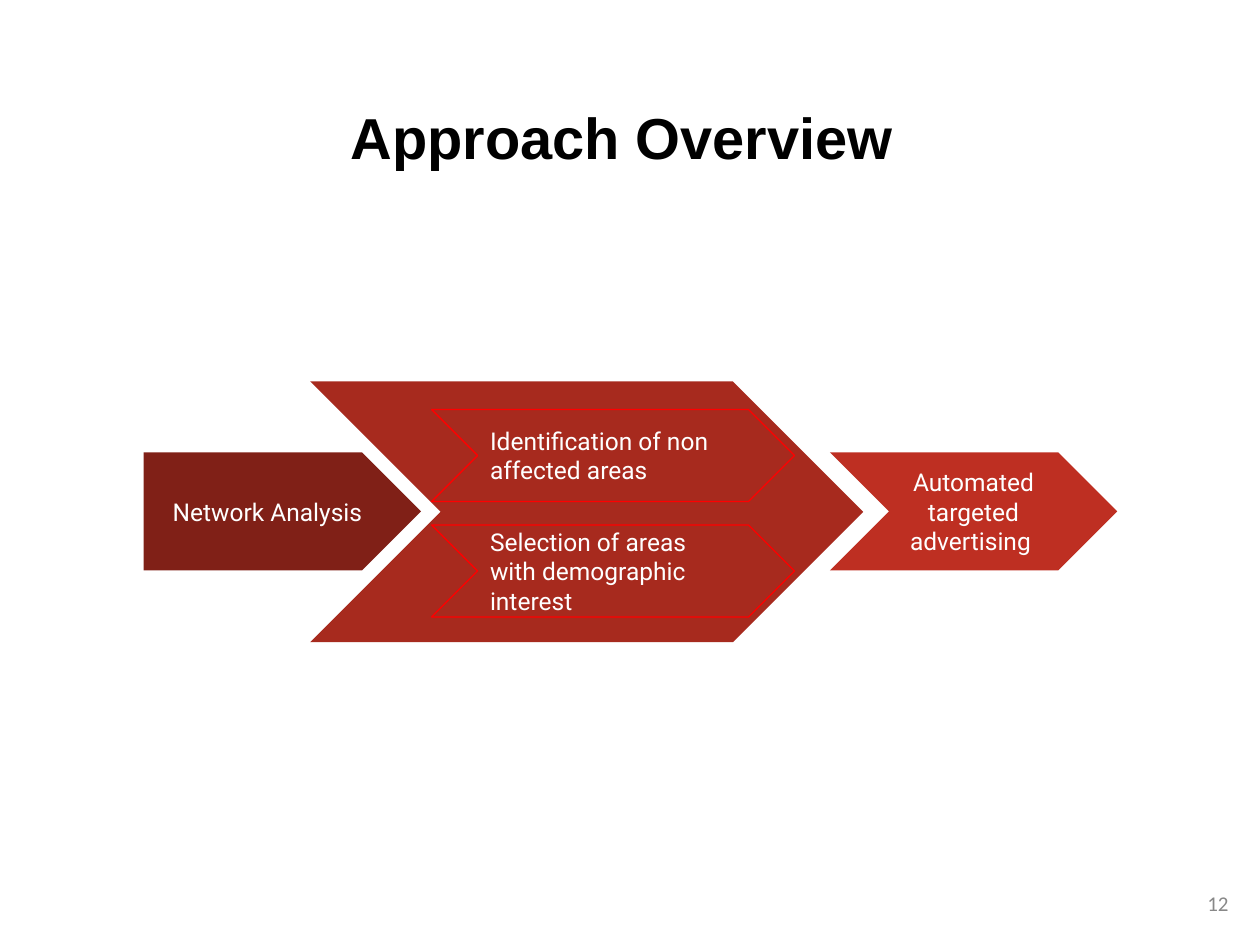
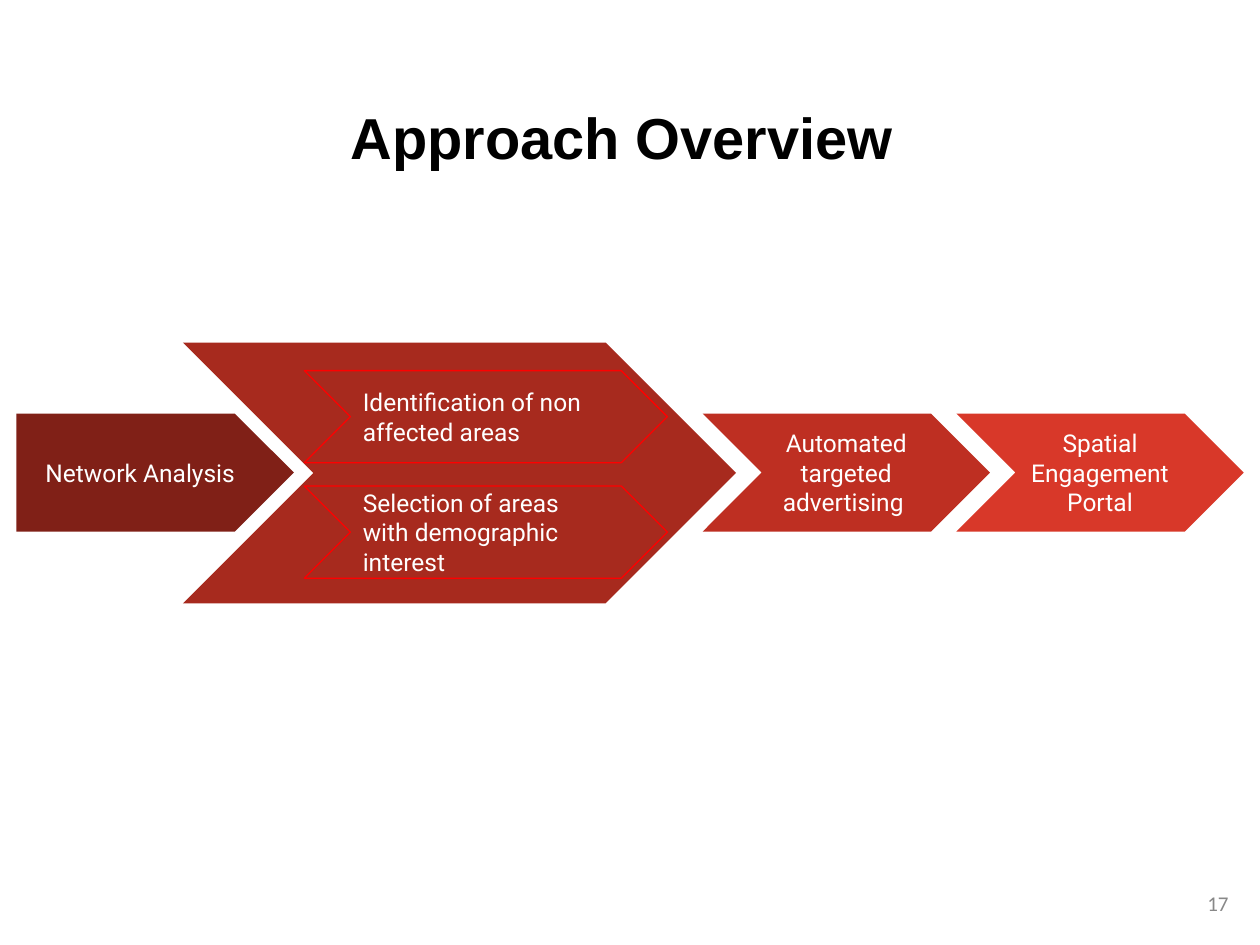
import pptx
import pptx.util
import pptx.dml.color
import pptx.enum.shapes
import pptx.enum.text

Pt = pptx.util.Pt
RGB = pptx.dml.color.RGBColor
MSO = pptx.enum.shapes.MSO_SHAPE
ALIGN = pptx.enum.text.PP_ALIGN
ANCHOR = pptx.enum.text.MSO_ANCHOR
AUTO = pptx.enum.text.MSO_AUTO_SIZE

BLACK = RGB(0x00, 0x00, 0x00)
WHITE = RGB(0xFF, 0xFF, 0xFF)
GREY = RGB(0x88, 0x88, 0x88)
OUTLINE = RGB(0xFF, 0x00, 0x00)
MAROON = RGB(0x80, 0x20, 0x17)
BRICK = RGB(0xA7, 0x2A, 0x1E)
RED = RGB(0xBE, 0x2F, 0x22)
BRIGHT = RGB(0xD8, 0x38, 0x29)


def set_text(sp, text, font, size, color, align, anchor, pad=7.2, bold=False):
    tf = sp.text_frame
    tf.word_wrap = True
    tf.auto_size = AUTO.NONE
    tf.vertical_anchor = anchor
    tf.margin_left = tf.margin_right = Pt(7.2)
    tf.margin_top = tf.margin_bottom = Pt(pad)
    tf.text = text
    p = tf.paragraphs[0]
    p.alignment = align
    p.font.name, p.font.size, p.font.bold = font, Pt(size), bold
    p.font.color.rgb = color


def add_step(s, kind, x, y, w, h, fill, text="", align=ALIGN.CENTER, line=None):
    sp = s.shapes.add_shape(kind, Pt(x), Pt(y), Pt(w), Pt(h))
    sp.shadow.inherit = False
    sp.fill.solid()
    sp.fill.fore_color.rgb = fill
    if line is None:
        sp.line.fill.background()
    else:
        sp.line.color.rgb = line
        sp.line.width = Pt(0.75)
    if text:
        set_text(sp, text, "Roboto", 14, WHITE, align, ANCHOR.MIDDLE)


prs = pptx.Presentation()
prs.slide_width, prs.slide_height = Pt(720), Pt(540)

# Later steps follow the large chevron; each slide shows some of them
later_steps = [("Automated targeted advertising ", RED),
               ("Spatial Engagement Portal", BRIGHT)]
selections = ["Identification of non affected areas",
              "Selection of areas with demographic interest"]

# Slide number, left and top of the process, count of later steps
for number, left, top, count in [("12", 82, 218, 1), ("17", 9.3, 195.8, 2)]:
    s = prs.slides.add_slide(prs.slide_layouts[5])

    # Title and slide number
    title = s.shapes.title
    title.left, title.top, title.width, title.height = Pt(134.6), Pt(51), Pt(450.7), Pt(54)
    set_text(title, "Approach Overview ", "Arial", 33, BLACK, ALIGN.CENTER,
             ANCHOR.TOP, bold=True)
    tb = s.shapes.add_textbox(Pt(541.4), Pt(501.8), Pt(167.8), Pt(28.8))
    set_text(tb, number, "Calibri", 12, GREY, ALIGN.RIGHT, ANCHOR.MIDDLE, pad=3.6)

    # Main process
    row = top + 40.5
    add_step(s, MSO.CHEVRON, left + 95.3, top, 316, 149, BRICK)
    add_step(s, MSO.PENTAGON, left, row, 158.6, 67.5, MAROON, "Network Analysis")
    for i, (text, fill) in enumerate(later_steps[:count]):
        add_step(s, MSO.CHEVRON, left + 392.2 + 145 * i, row, 164.2, 67.5, fill, text)

    # Selections inside the large chevron
    for i, text in enumerate(selections):
        add_step(s, MSO.CHEVRON, left + 164.6, top + 16 + 66 * i, 207.4, 52.6,
                 BRICK, text, ALIGN.LEFT, OUTLINE)

prs.save("out.pptx")
